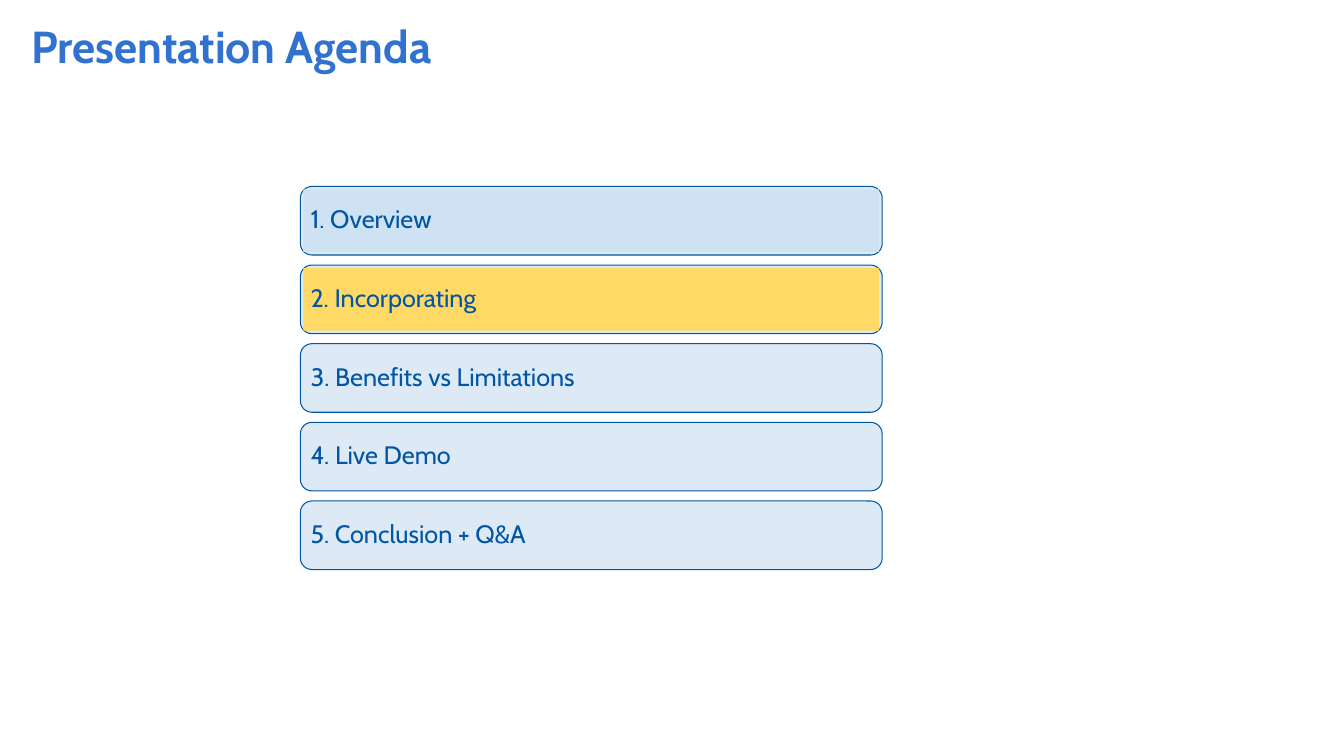
"""Builds the presentation agenda slide."""
import pptx
import pptx.util
import pptx.dml.color
import pptx.enum.shapes
import pptx.enum.text

Inches = pptx.util.Inches
RGBColor = pptx.dml.color.RGBColor
TITLE_BLUE = RGBColor(0x31, 0x71, 0xCF)
DEEP_BLUE = RGBColor(0x00, 0x55, 0xA5)
PALE_BLUE = RGBColor(0xDD, 0xEA, 0xF6)
VISITED_BLUE = RGBColor(0xCF, 0xE2, 0xF3)
CURRENT_YELLOW = RGBColor(0xFF, 0xD9, 0x66)

SLIDE_WIDTH, SLIDE_HEIGHT = 13.33, 7.5
AGENDA_LEFT, AGENDA_TOP = 2.98, 1.85
ROW_WIDTH, ROW_HEIGHT, ROW_PITCH = 5.77, 0.68, 0.78
LABEL_INSET = 0.03
AGENDA = [
    ("1. Overview", VISITED_BLUE),
    ("2. Incorporating", CURRENT_YELLOW),
    ("3. Benefits vs Limitations", None),
    ("4. Live Demo", None),
    ("5. Conclusion + Q&A", None),
]


def write_text(holder, wording, size, color, vertical_margin, bold=False):
    """Write one left-aligned, vertically centred line."""
    frame = holder.text_frame
    frame.text = wording
    frame.word_wrap = True
    frame.vertical_anchor = pptx.enum.text.MSO_ANCHOR.MIDDLE
    frame.margin_left = frame.margin_right = Inches(0.07)
    frame.margin_top = frame.margin_bottom = Inches(vertical_margin)
    line = frame.paragraphs[0]
    line.alignment = pptx.enum.text.PP_ALIGN.LEFT
    line.line_spacing = 0.9
    font = line.runs[0].font
    font.name, font.size, font.bold = "Cabin", pptx.util.Pt(size), bold
    font.color.rgb = color


def add_title(slide, wording):
    """Add the slide heading."""
    heading = slide.shapes.add_textbox(
        Inches(0.24), Inches(0.24), Inches(7), Inches(0.5))
    write_text(heading, wording, 32, TITLE_BLUE, 0.04, bold=True)


def add_agenda_row(slide, index, wording, highlight):
    """Add a rounded frame with its label, filled when highlighted."""
    top = AGENDA_TOP + index * ROW_PITCH
    border = slide.shapes.add_shape(
        pptx.enum.shapes.MSO_SHAPE.ROUNDED_RECTANGLE, Inches(AGENDA_LEFT),
        Inches(top), Inches(ROW_WIDTH), Inches(ROW_HEIGHT))
    border.shadow.inherit = False
    border.fill.solid()
    border.fill.fore_color.rgb = PALE_BLUE
    border.line.color.rgb = DEEP_BLUE
    border.line.width = pptx.util.Pt(0.75)

    label = slide.shapes.add_textbox(
        Inches(AGENDA_LEFT + LABEL_INSET), Inches(top + LABEL_INSET),
        Inches(ROW_WIDTH - 2 * LABEL_INSET),
        Inches(ROW_HEIGHT - 2 * LABEL_INSET))
    if highlight is not None:
        label.fill.solid()
        label.fill.fore_color.rgb = highlight
    write_text(label, wording, 18, DEEP_BLUE, 0.07)


def main():
    """Build and save the slide."""
    deck = pptx.Presentation()
    deck.slide_width = Inches(SLIDE_WIDTH)
    deck.slide_height = Inches(SLIDE_HEIGHT)
    slide = deck.slides.add_slide(deck.slide_layouts[6])
    add_title(slide, "Presentation Agenda")
    for index, (wording, highlight) in enumerate(AGENDA):
        add_agenda_row(slide, index, wording, highlight)
    deck.save("out.pptx")


if __name__ == "__main__":
    main()
